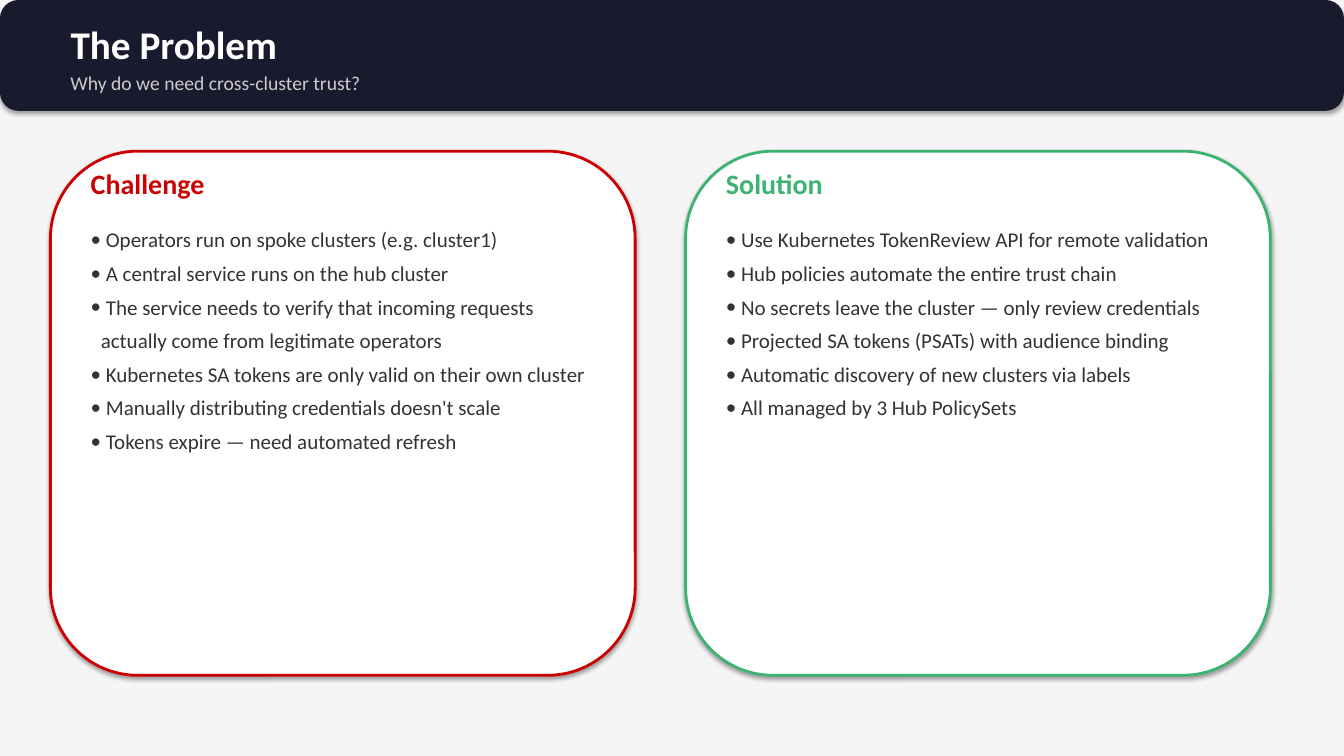
from dataclasses import dataclass

from lxml import etree
from pptx import Presentation
from pptx.dml.color import RGBColor
from pptx.enum import shapes, text
from pptx.oxml.ns import qn
from pptx.util import Inches, Pt


@dataclass(frozen=True)
class Theme:
    font: str = "Calibri"
    background: str = "F5F5F5"
    banner: str = "1A1A2E"
    card: str = "FFFFFF"
    title: str = "FFFFFF"
    subtitle: str = "CCCCCC"
    body: str = "333333"
    challenge: str = "CC0000"
    solution: str = "3CB371"
    title_size: int = 28
    heading_size: int = 20
    body_size: int = 15
    subtitle_size: int = 14


THEME = Theme()
CONTINUATION = "actually come from legitimate operators"
CHALLENGES = [
    "Operators run on spoke clusters (e.g. cluster1)",
    "A central service runs on the hub cluster",
    "The service needs to verify that incoming requests",
    CONTINUATION,
    "Kubernetes SA tokens are only valid on their own cluster",
    "Manually distributing credentials doesn't scale",
    "Tokens expire — need automated refresh",
]
SOLUTIONS = [
    "Use Kubernetes TokenReview API for remote validation",
    "Hub policies automate the entire trust chain",
    "No secrets leave the cluster — only review credentials",
    "Projected SA tokens (PSATs) with audience binding",
    "Automatic discovery of new clusters via labels",
    "All managed by 3 Hub PolicySets",
]


def place(shape, left, top, width, height):
    shape.left, shape.top = Inches(left), Inches(top)
    shape.width, shape.height = Inches(width), Inches(height)


def add_panel(slide, box, fill, outline=None):
    """Add a rounded panel with the theme's soft shadow, behind all text."""
    panel = slide.shapes.add_shape(
        shapes.MSO_SHAPE.ROUNDED_RECTANGLE, *map(Inches, box))
    panel.fill.solid()
    panel.fill.fore_color.rgb = RGBColor.from_string(fill)
    if outline:
        panel.line.color.rgb = RGBColor.from_string(outline)
        panel.line.width = Pt(2)
    else:
        panel.line.fill.background()
    slide.shapes._spTree.insert(2, panel._element)


def write(shape, content, size, color, bold=False):
    frame = shape.text_frame
    frame.text = content
    frame.word_wrap = True
    frame.auto_size = text.MSO_AUTO_SIZE.NONE
    frame.vertical_anchor = text.MSO_ANCHOR.TOP
    for paragraph in frame.paragraphs:
        paragraph.alignment = text.PP_ALIGN.LEFT
        paragraph.space_before = Pt(0)
        for run in paragraph.runs:
            run.font.name = THEME.font
            run.font.size = Pt(size)
            run.font.bold = bold
            run.font.color.rgb = RGBColor.from_string(color)


def set_bullet(paragraph, bulleted):
    """Give a hanging bullet, or a plain indent for a continued line."""
    properties = paragraph._p.get_or_add_pPr()
    margin, indent = (0.15, -0.15) if bulleted else (0.1, 0)
    properties.set("marL", str(Inches(margin)))
    properties.set("indent", str(Inches(indent)))
    if bulleted:
        etree.SubElement(properties, qn("a:buFont")).set("typeface", THEME.font)
        etree.SubElement(properties, qn("a:buChar")).set("char", "•")
    else:
        etree.SubElement(properties, qn("a:buNone"))


def add_card(slide, left, heading, heading_text, body, items, color):
    add_panel(slide, (left, 1.5, 5.8, 5.2), THEME.card, color)
    place(heading, left + 0.3, 1.6, 5.2, 0.43)
    write(heading, heading_text, THEME.heading_size, color, bold=True)
    place(body, left + 0.3, 2.2, 5.2, 0.02 + len(items) / 3)
    write(body, "\n".join(items), THEME.body_size, THEME.body)
    for paragraph in body.text_frame.paragraphs:
        paragraph.space_after = Pt(6)
        set_bullet(paragraph, paragraph.text != CONTINUATION)


def add_header(slide, title_text, subtitle_text):
    add_panel(slide, (0, 0, 13.33, 1.1), THEME.banner)
    title = slide.shapes.title
    place(title, 0.6, 0.15, 10, 0.57)
    write(title, title_text, THEME.title_size, THEME.title, bold=True)
    subtitle = slide.shapes.add_textbox(*map(Inches, (0.6, 0.65, 10, 0.33)))
    write(subtitle, subtitle_text, THEME.subtitle_size, THEME.subtitle)


def main():
    presentation = Presentation()
    presentation.slide_width = Inches(13.33)
    presentation.slide_height = Inches(7.5)
    comparison_layout = presentation.slide_layouts[4]
    slide = presentation.slides.add_slide(comparison_layout)
    slide.background.fill.solid()
    slide.background.fill.fore_color.rgb = RGBColor.from_string(THEME.background)

    add_header(slide, "The Problem", "Why do we need cross-cluster trust?")
    _, left_heading, left_body, right_heading, right_body = slide.placeholders
    add_card(slide, 0.5, left_heading, "Challenge", left_body,
             CHALLENGES, THEME.challenge)
    add_card(slide, 6.8, right_heading, "Solution", right_body,
             SOLUTIONS, THEME.solution)
    presentation.save("out.pptx")


if __name__ == "__main__":
    main()
